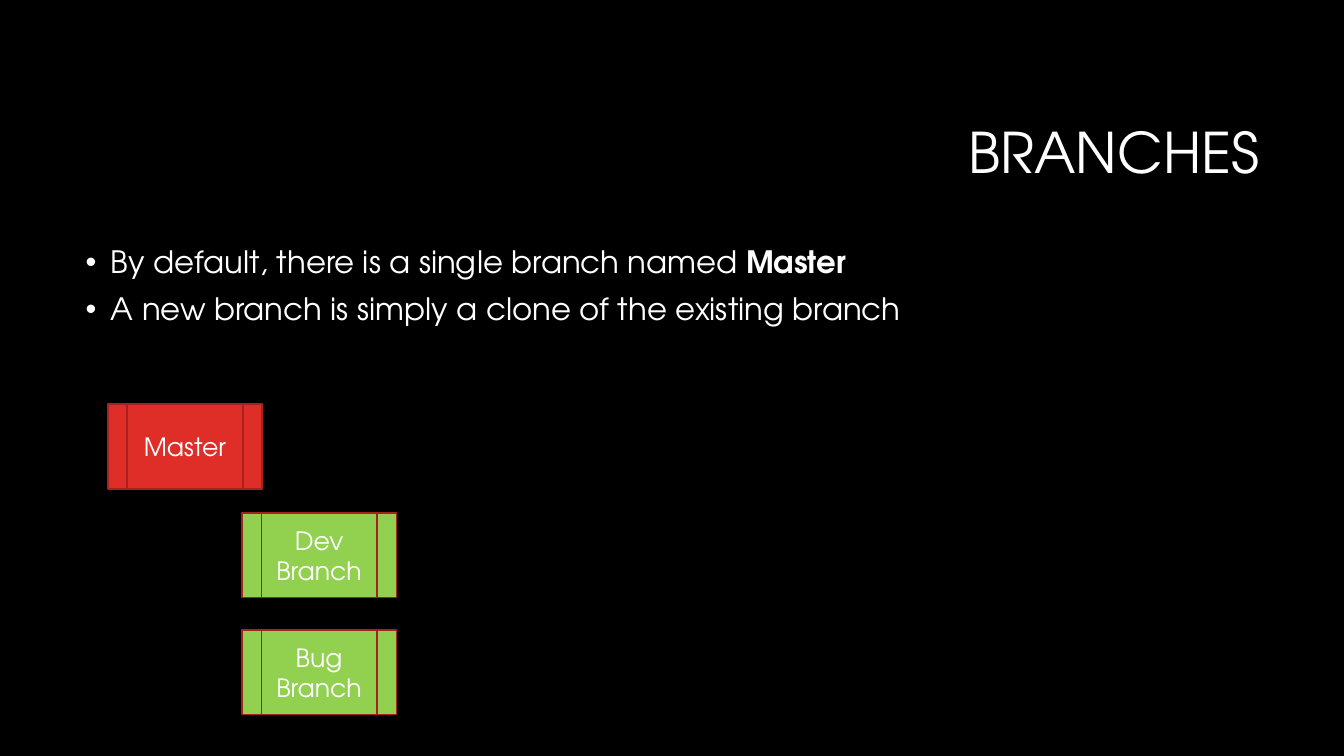
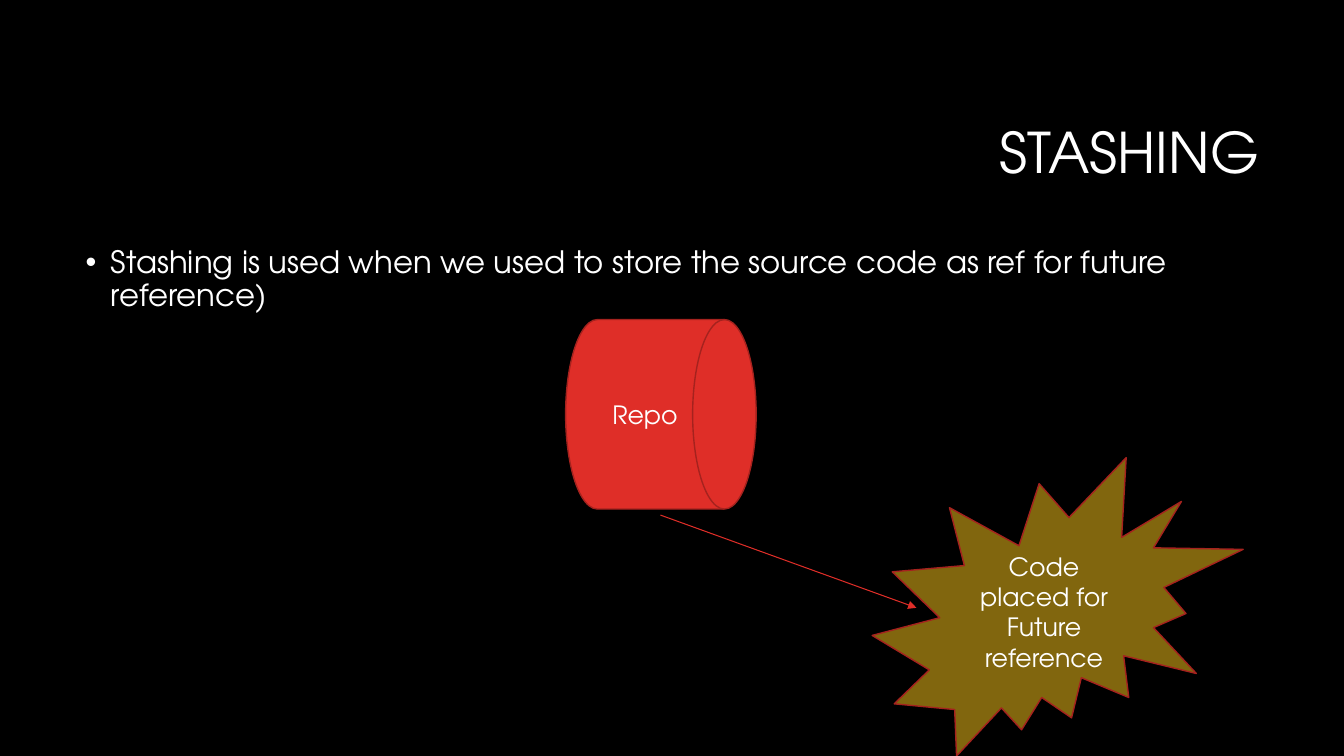
"""Build two dark slides about version control: branches and stashing."""
from dataclasses import dataclass

from lxml.etree import SubElement
from pptx import Presentation
from pptx.dml.color import RGBColor
from pptx.enum.shapes import MSO_CONNECTOR, MSO_SHAPE
from pptx.enum.text import MSO_ANCHOR, PP_ALIGN
from pptx.oxml.ns import qn
from pptx.util import Inches, Pt


@dataclass(frozen=True)
class Theme:
    font: str = "TeX Gyre Adventor"
    background: RGBColor = RGBColor.from_string("000000")
    text: RGBColor = RGBColor.from_string("FFFFFF")
    red: RGBColor = RGBColor.from_string("DF2E28")
    outline: RGBColor = RGBColor.from_string("A5221E")
    green: RGBColor = RGBColor.from_string("92D050")
    olive: RGBColor = RGBColor.from_string("81660E")
    title_size: Pt = Pt(40)
    body_size: Pt = Pt(22)
    label_size: Pt = Pt(18)


THEME = Theme()


def style(paragraph, size, align):
    paragraph.alignment = align
    paragraph.font.name = THEME.font
    paragraph.font.size = size
    paragraph.font.color.rgb = THEME.text


def add_node(slide, kind, label, box, fill):
    node = slide.shapes.add_shape(kind, *map(Inches, box))
    node.shadow.inherit = False
    node.fill.solid()
    node.fill.fore_color.rgb = fill
    node.line.color.rgb = THEME.outline
    node.line.width = Pt(1)
    node.text_frame.text = label
    node.text_frame.vertical_anchor = MSO_ANCHOR.MIDDLE
    for paragraph in node.text_frame.paragraphs:
        style(paragraph, THEME.label_size, PP_ALIGN.CENTER)


deck = Presentation()
deck.slide_width, deck.slide_height = Inches(13.33), Inches(7.5)
backdrop = deck.slide_master.background.fill
backdrop.solid()
backdrop.fore_color.rgb = THEME.background

layout = deck.slide_layouts[1]
placeholder_boxes = [(3.17, 0.84, 9.42, 1.41), (0.75, 2.4, 11.83, 4.4)]
for holder, box in zip(layout.placeholders, placeholder_boxes):
    holder.left, holder.top, holder.width, holder.height = map(Inches, box)

topics = [
    ("BRANCHES", [
        [("By default, there is a single branch named ", False), ("Master", True)],
        [("A new branch is simply a clone of the existing branch", False)],
    ]),
    ("STASHING", [
        [("Stashing is used when we used to store the source code "
          "as ref for future reference)", False)],
    ]),
]

slides = []
for heading, points in topics:
    slide = deck.slides.add_slide(layout)
    slides.append(slide)
    title = slide.shapes.title.text_frame
    title.text = heading
    title.vertical_anchor = MSO_ANCHOR.MIDDLE
    title.paragraphs[0].line_spacing = 0.9
    style(title.paragraphs[0], THEME.title_size, PP_ALIGN.RIGHT)

    body = slide.placeholders[1].text_frame
    for index, point in enumerate(points):
        bullet = body.add_paragraph() if index else body.paragraphs[0]
        for words, bold in point:
            run = bullet.add_run()
            run.text = words
            if bold:
                run.font.bold = True
        style(bullet, THEME.body_size, PP_ALIGN.LEFT)
        bullet.line_spacing = 0.9
        bullet.space_before = Pt(10)
        indents = bullet._p.get_or_add_pPr()
        indents.set("marL", str(Inches(0.25)))
        indents.set("indent", str(Inches(-0.25)))

branches, stashing = slides

for label, left, top, fill in [
    ("Master", 1.07, 4.01, THEME.red),
    ("Dev Branch", 2.4, 5.09, THEME.green),
    ("Bug Branch", 2.4, 6.25, THEME.green),
]:
    add_node(branches, MSO_SHAPE.FLOWCHART_PREDEFINED_PROCESS, label,
             (left, top, 1.53, 0.84), fill)

add_node(stashing, MSO_SHAPE.FLOWCHART_DIRECT_ACCESS_STORAGE, "Repo",
         (5.61, 3.17, 1.89, 1.88), THEME.red)
add_node(stashing, MSO_SHAPE.EXPLOSION2, "Code placed for\nFuture reference",
         (8.65, 4.54, 3.68, 2.96), THEME.olive)

stash_arrow = stashing.shapes.add_connector(
    MSO_CONNECTOR.STRAIGHT, *map(Inches, (6.55, 5.11, 9.09, 6.03)))
stash_arrow.line.color.rgb = THEME.red
stash_arrow.line.width = Pt(0.75)
SubElement(stash_arrow.line._get_or_add_ln(), qn("a:tailEnd"), type="triangle")
SubElement(stash_arrow._element.spPr, qn("a:effectLst"))

deck.save("out.pptx")
